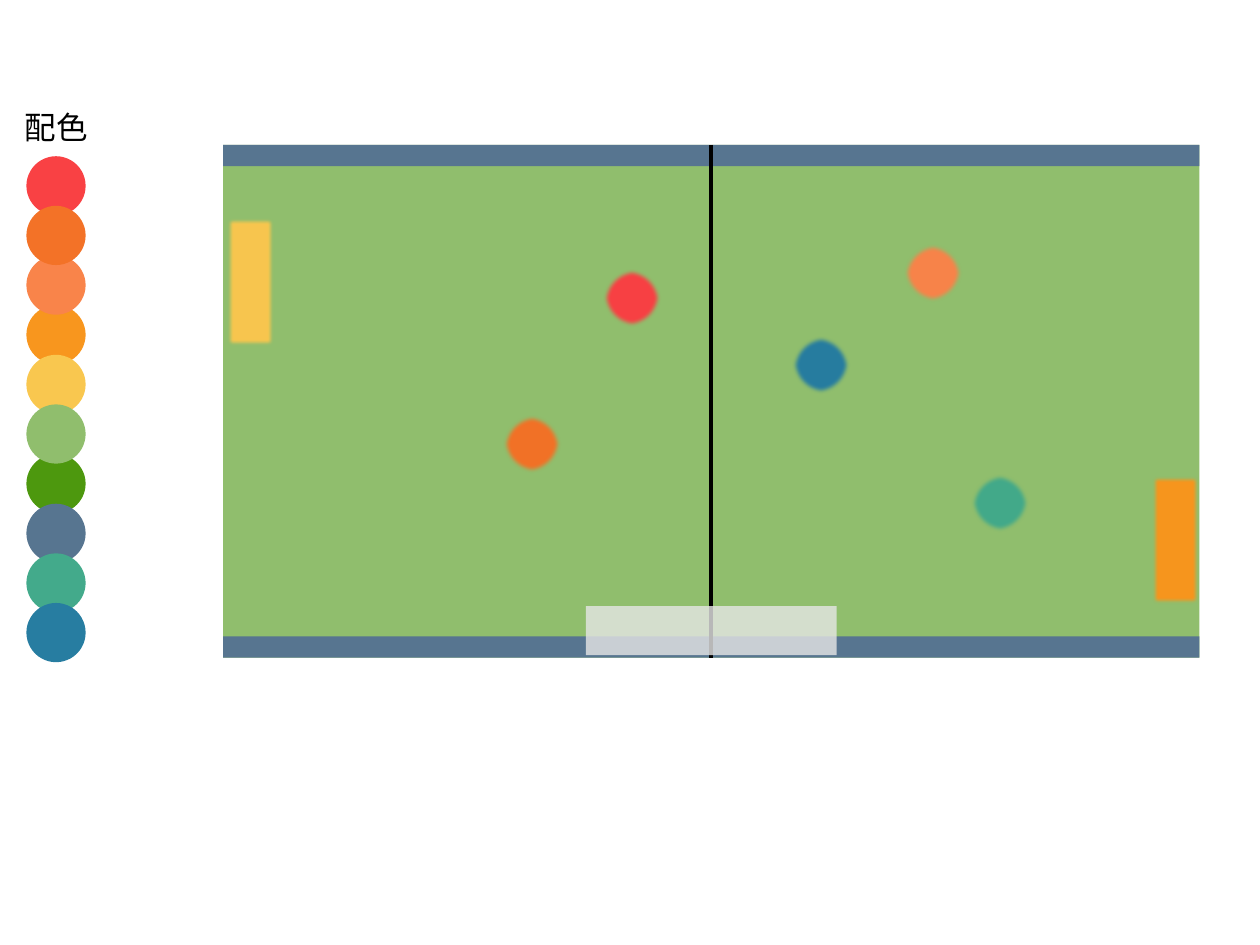
from dataclasses import dataclass

from pptx import Presentation
from pptx.dml.color import RGBColor
from pptx.enum.shapes import MSO_CONNECTOR as Connector, MSO_SHAPE as Shape
from pptx.enum.text import PP_ALIGN as Align
from pptx.oxml.ns import qn
from pptx.util import Inches, Pt
from lxml.etree import SubElement


@dataclass(frozen=True)
class Theme:
    """Colours, font and sizes of the slide."""
    red: str = "F94144"
    orange: str = "F37227"
    coral: str = "F9844A"
    amber: str = "F8961E"
    yellow: str = "F9C74F"
    grass: str = "90BE6D"
    green: str = "4D980E"
    slate: str = "577590"
    teal: str = "43AA8B"
    blue: str = "277DA1"
    panel: str = "E6E6E6"
    ink: str = "000000"
    font: str = "Arial"
    label_size: int = 18
    line_width: int = 2
    soft_edge: float = 2.5


THEME = Theme()
DISC = 0.47
PALETTE = [THEME.red, THEME.orange, THEME.coral, THEME.amber, THEME.yellow,
           THEME.grass, THEME.green, THEME.slate, THEME.teal, THEME.blue]
BACK_TO_FRONT = [THEME.amber, THEME.yellow, THEME.green, THEME.grass, THEME.slate,
                 THEME.red, THEME.teal, THEME.coral, THEME.orange, THEME.blue]
PLAYERS = [(4.78, 2.13, THEME.red), (6.28, 2.66, THEME.blue), (7.17, 1.93, THEME.coral),
           (7.7, 3.76, THEME.teal), (3.99, 3.29, THEME.orange)]
GOALS = [(1.79, 1.72, THEME.yellow), (9.13, 3.77, THEME.amber)]


def add_filled(shapes, kind, left, top, width, height, color):
    """Add a flat shape without an outline."""
    shape = shapes.add_shape(kind, Inches(left), Inches(top), Inches(width), Inches(height))
    shape.shadow.inherit = False
    shape.fill.solid()
    shape.fill.fore_color.rgb = RGBColor.from_string(color)
    shape.line.fill.background()
    return shape


def add_disc(shapes, left, top, color):
    """Add a round colour disc."""
    return add_filled(shapes, Shape.OVAL, left, top, DISC, DISC, color)


def soften(shape):
    """Give a shape a soft edge."""
    effects = shape._element.spPr.find(qn("a:effectLst"))
    SubElement(effects, qn("a:softEdge"), rad=str(Pt(THEME.soft_edge)))


def set_opacity(shape, percent):
    """Make the solid fill of a shape partly transparent."""
    color = shape._element.spPr.find(qn("a:solidFill"))[0]
    SubElement(color, qn("a:alpha"), val=str(percent * 1000))


def add_label(page, text, left, top, width, height):
    """Add a centred heading."""
    box = page.shapes.add_textbox(Inches(left), Inches(top), Inches(width), Inches(height))
    box.text_frame.word_wrap = True
    box.text_frame.text = text
    para = box.text_frame.paragraphs[0]
    para.alignment = Align.CENTER
    font = para.runs[0].font
    font.name, font.size = THEME.font, Pt(THEME.label_size)
    font.color.rgb = RGBColor.from_string(THEME.ink)


def add_palette(page, left, top, step):
    """Stack the overlapping colour swatches."""
    for color in BACK_TO_FRONT:
        add_disc(page.shapes, left, top + step * PALETTE.index(color), color)


def add_field(page, left, top, width, height, wall):
    """Group the pitch, its two walls and the halfway line."""
    shapes = page.shapes.add_group_shape().shapes
    add_filled(shapes, Shape.RECTANGLE, left, top, width, height, THEME.grass)
    for wall_top in (top, top + height - wall):
        add_filled(shapes, Shape.RECTANGLE, left, wall_top, width, wall, THEME.slate)
    middle = Inches(left + width / 2)
    line = shapes.add_connector(Connector.STRAIGHT, middle, Inches(top),
                                middle, Inches(top + height))
    line.line.width = Pt(THEME.line_width)
    line.line.color.rgb = RGBColor.from_string(THEME.ink)
    SubElement(line._element.spPr, qn("a:effectLst"))


def main():
    """Build the slide and save it."""
    deck = Presentation()
    deck.slide_width, deck.slide_height = Inches(10), Inches(7.5)
    page = deck.slides.add_slide(deck.slide_layouts[6])
    add_palette(page, left=0.21, top=1.24, step=0.394)
    add_label(page, "配色", -0.03, 0.81, 0.95, 0.4)
    add_field(page, left=1.77, top=1.15, width=7.75, height=4.07, wall=0.17)
    for left, top, color in GOALS:
        soften(add_filled(page.shapes, Shape.RECTANGLE, left, top, 0.4, 1.04, color))
    for left, top, color in PLAYERS:
        soften(add_disc(page.shapes, left, top, color))
    panel = add_filled(page.shapes, Shape.RECTANGLE, 4.65, 4.81, 1.99, 0.39, THEME.panel)
    set_opacity(panel, 80)
    deck.save("out.pptx")


if __name__ == "__main__":
    main()
